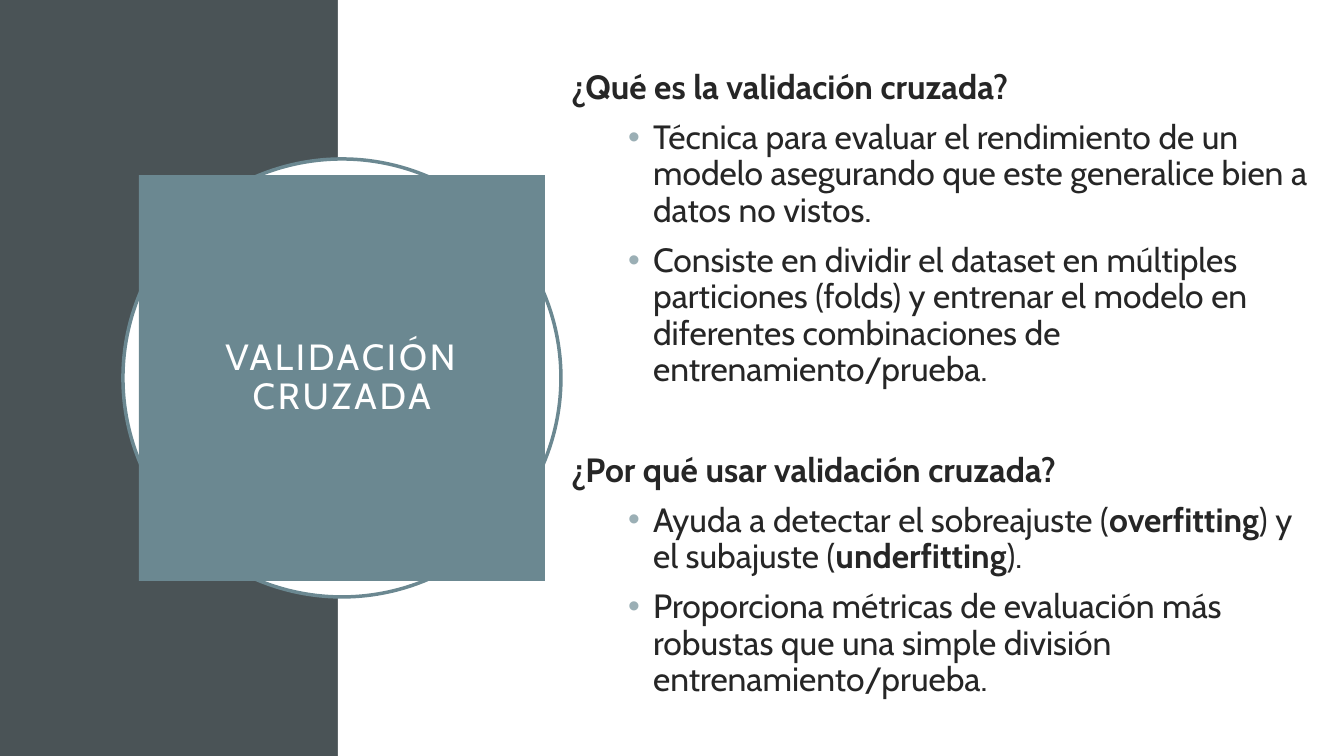
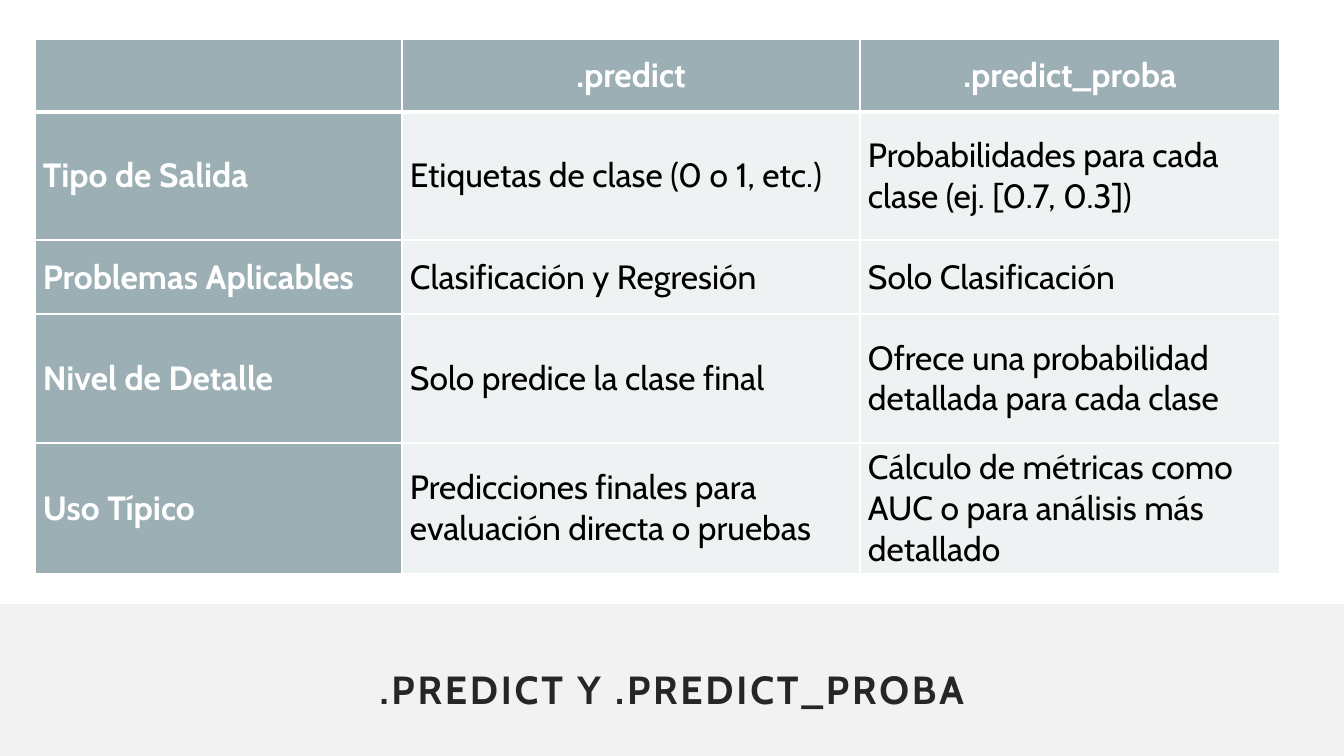
"""Build two slides on cross validation and on predict versus predict_proba."""
from lxml.etree import SubElement
from pptx import Presentation
from pptx.dml.color import RGBColor
from pptx.enum.shapes import MSO_SHAPE
from pptx.enum.text import MSO_ANCHOR, MSO_AUTO_SIZE, PP_ALIGN
from pptx.oxml.ns import qn
from pptx.util import Pt

PX = 12192000 // 1344
WIDTH, HEIGHT = 1344, 756
FONT = "Cabin"
COLORS = {
    "white": "FFFFFF", "black": "000000", "ink": "262626", "slate": "4A5356",
    "teal": "6B8891", "mist": "9BAFB5", "pale": "EFF2F3", "gray": "F2F2F2",
}
COLORS = {name: RGBColor.from_string(value) for name, value in COLORS.items()}


def add_panel(slide, kind, box, fill, line=None):
    shape = slide.shapes.add_shape(kind, *[length * PX for length in box])
    shape.shadow.inherit = False
    shape.fill.solid()
    shape.fill.fore_color.rgb = COLORS[fill]
    if line:
        shape.line.color.rgb = COLORS[line]
        shape.line.width = Pt(2.5)
    else:
        shape.line.fill.background()


def style_run(run, size, color, bold=False):
    run.font.name = FONT
    run.font.size = Pt(size)
    run.font.bold = bold
    run.font.color.rgb = COLORS[color]


presentation = Presentation()
presentation.slide_width = WIDTH * PX
presentation.slide_height = HEIGHT * PX

validation = presentation.slides.add_slide(presentation.slide_layouts[1])
add_panel(validation, MSO_SHAPE.RECTANGLE, (0, 0, 338, HEIGHT), "slate")
add_panel(validation, MSO_SHAPE.RECTANGLE, (338, 0, WIDTH - 338, HEIGHT), "white")
add_panel(validation, MSO_SHAPE.OVAL, (123, 159, 438, 438), "white", "teal")

PARAGRAPHS = [
    (0, ["¿Qué es la validación cruzada?"]),
    (1, ["Técnica para evaluar el rendimiento de un modelo asegurando que este "
         "generalice bien a datos no vistos."]),
    (1, ["Consiste en dividir el dataset en múltiples particiones (folds) y entrenar "
         "el modelo en diferentes combinaciones de entrenamiento/prueba."]),
    (0, ["¿Por qué usar validación cruzada?"]),
    (1, ["Ayuda a detectar el sobreajuste (", "overfitting",
         ") y el subajuste (", "underfitting", ")."]),
    (1, ["Proporciona métricas de evaluación más robustas que una simple división "
         "entrenamiento/prueba."]),
]
body = validation.placeholders[1]
body.left, body.top, body.width, body.height = [n * PX for n in (561, 48, 764, 673)]
validation.shapes.element.append(body.element)
frame = body.text_frame
frame.word_wrap = True
frame.auto_size = MSO_AUTO_SIZE.NONE
frame.vertical_anchor = MSO_ANCHOR.MIDDLE
for index, (level, parts) in enumerate(PARAGRAPHS):
    paragraph = frame.add_paragraph() if index else frame.paragraphs[0]
    paragraph.level = level
    paragraph.line_spacing = 0.9
    paragraph.space_before = Pt(46 if index and level == 0 else 10)
    properties = paragraph._p.get_or_add_pPr()
    if level:
        properties.set("marL", str(82 * PX))
        properties.set("indent", str(-25 * PX))
        bullet_color = SubElement(properties, qn("a:buClr"))
        SubElement(bullet_color, qn("a:srgbClr")).set("val", str(COLORS["mist"]))
        SubElement(properties, qn("a:buFont")).set("typeface", "Arial")
        SubElement(properties, qn("a:buChar")).set("char", "•")
    else:
        properties.set("marL", "0")
        properties.set("indent", "0")
        SubElement(properties, qn("a:buNone"))
    for position, part in enumerate(parts):
        run = paragraph.add_run()
        run.text = part
        style_run(run, 24, "ink", level == 0 or position % 2 == 1)

predict = presentation.slides.add_slide(presentation.slide_layouts[5])
predict.background.fill.solid()
predict.background.fill.fore_color.rgb = COLORS["gray"]
add_panel(predict, MSO_SHAPE.RECTANGLE, (0, 0, WIDTH, 604), "white")

ROWS = [
    ("", ".predict", ".predict_proba"),
    ("Tipo de Salida", "Etiquetas de clase (0 o 1, etc.)",
     "Probabilidades para cada clase (ej. [0.7, 0.3])"),
    ("Problemas Aplicables", "Clasificación y Regresión", "Solo Clasificación"),
    ("Nivel de Detalle", "Solo predice la clase final",
     "Ofrece una probabilidad detallada para cada clase"),
    ("Uso Típico", "Predicciones finales para evaluación directa o pruebas",
     "Cálculo de métricas como AUC o para análisis más detallado"),
]
COLUMN_WIDTHS = (367, 458, 420)
ROW_HEIGHTS = (73, 128, 74, 129, 129)
table = predict.shapes.add_table(
    len(ROWS), len(COLUMN_WIDTHS), 35 * PX, 39 * PX,
    sum(COLUMN_WIDTHS) * PX, sum(ROW_HEIGHTS) * PX).table
table.horz_banding = False
for column, width in zip(table.columns, COLUMN_WIDTHS):
    column.width = width * PX
for row, height in zip(table.rows, ROW_HEIGHTS):
    row.height = height * PX
for row_index, texts in enumerate(ROWS):
    for column_index, text in enumerate(texts):
        heading = row_index == 0 or column_index == 0
        cell = table.cell(row_index, column_index)
        cell.vertical_anchor = MSO_ANCHOR.MIDDLE
        cell.margin_left = cell.margin_right = 8 * PX
        cell.margin_top = cell.margin_bottom = 4 * PX
        properties = cell._tc.get_or_add_tcPr()
        for side in ("lnL", "lnR", "lnT", "lnB"):
            thick = (row_index, side) in ((0, "lnB"), (1, "lnT"))
            border = SubElement(properties, qn(f"a:{side}"), w=str(Pt(3 if thick else 1)))
            fill = SubElement(border, qn("a:solidFill"))
            SubElement(fill, qn("a:srgbClr")).set("val", str(COLORS["white"]))
        cell.fill.solid()
        cell.fill.fore_color.rgb = COLORS["mist" if heading else "pale"]
        cell.text_frame.text = text
        paragraph = cell.text_frame.paragraphs[0]
        paragraph.alignment = PP_ALIGN.LEFT if row_index else PP_ALIGN.CENTER
        for run in paragraph.runs:
            style_run(run, 24, "white" if heading else "black", heading)

TITLES = [
    (validation, "VALIDACIÓN CRUZADA", (139, 175, 406, 406), 26, "white", False, 0.9),
    (predict, ".PREDICT Y .PREDICT_PROBA", (246, 652, 852, 82), 28, "ink", True, 0.8),
]
for slide, text, box, size, color, bold, spacing in TITLES:
    title = slide.shapes.title
    title.left, title.top, title.width, title.height = [length * PX for length in box]
    slide.shapes.element.append(title.element)
    frame = title.text_frame
    frame.text = text
    frame.word_wrap = True
    frame.auto_size = MSO_AUTO_SIZE.NONE
    frame.vertical_anchor = MSO_ANCHOR.MIDDLE
    frame.margin_left = frame.margin_right = 20 * PX
    frame.margin_top = frame.margin_bottom = 20 * PX
    paragraph = frame.paragraphs[0]
    paragraph.alignment = PP_ALIGN.CENTER
    paragraph.line_spacing = spacing
    run = paragraph.runs[0]
    style_run(run, size, color, bold)
    run.font._element.set("spc", "200")
validation.shapes.title.fill.solid()
validation.shapes.title.fill.fore_color.rgb = COLORS["teal"]

presentation.save("out.pptx")
